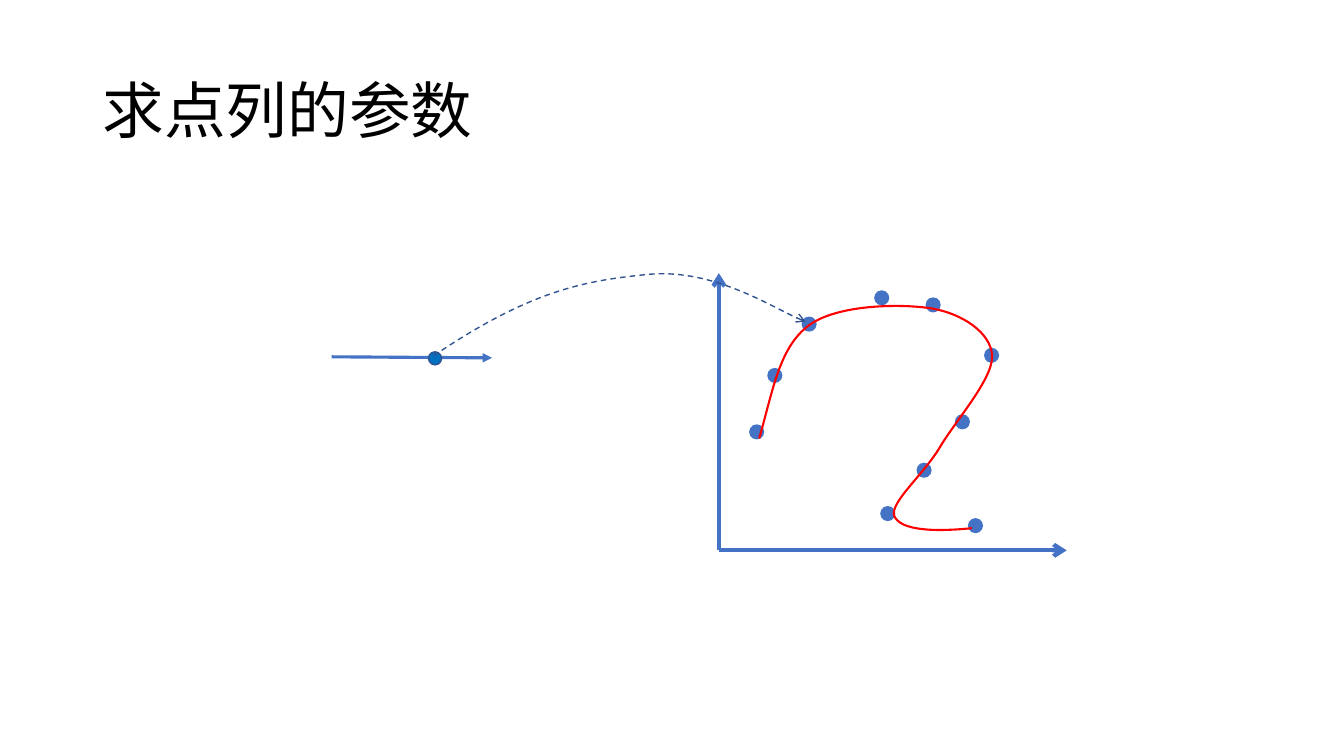
from pptx import Presentation
from pptx.dml.color import RGBColor
from pptx.enum.dml import MSO_LINE as Dash
from pptx.enum.shapes import MSO_CONNECTOR as Conn, MSO_SHAPE as Shape
from pptx.enum.text import MSO_ANCHOR as Anchor
from pptx.oxml.ns import qn
from pptx.util import Inches, Pt
from lxml.etree import SubElement

# Content, in inches
TITLE = "求点列的参数"
COLORS = {"blue": "4472C4", "red": "FF0000", "navy": "325491",
          "teal": "0070C0", "black": "000000"}
SIZE = (13.33, 7.5)
ORIGIN = (7.13, 5.46)
AXES = [(7.13, 2.71), (10.58, 5.46)]
DOT = 0.15
DOTS = [  # left and top
    (7.43, 4.21), (7.95, 3.14), (8.67, 2.88), (9.18, 2.95), (9.76, 3.45),
    (9.47, 4.11), (7.61, 3.65), (9.09, 4.59), (8.73, 5.02), (9.6, 5.14),
]
PARAM = [(3.29, 3.54), (4.88, 3.55)]
MARK = (4.25, 3.49)
# Cubic curves: a start, then two handles and an end per piece
FIT = [
    (7.53, 4.35), (7.67, 3.86), (7.73, 3.45), (8.02, 3.23),
    (8.3, 3.02), (8.93, 3.01), (9.24, 3.06),
    (9.54, 3.11), (9.83, 3.3), (9.84, 3.53),
    (9.85, 3.76), (9.48, 4.17), (9.32, 4.44),
    (9.16, 4.71), (8.82, 4.99), (8.87, 5.12),
    (8.93, 5.26), (9.25, 5.28), (9.64, 5.24),
]
MAP = [(4.3, 3.53), (5.29, 2.86), (5.84, 2.78), (6.45, 2.72),
       (7.07, 2.67), (7.76, 3.11), (7.99, 3.19)]

deck = Presentation()
deck.slide_width, deck.slide_height = map(Inches, SIZE)
slide = deck.slides.add_slide(deck.slide_layouts[6])
shapes = slide.shapes


def color(name):
    return RGBColor.from_string(COLORS[name])


def stroke(item, name, width, tip=None, dash=None):
    line = item.line
    line.color.rgb = color(name)
    line.width = Pt(width)
    if dash:
        line.dash_style = dash
    if tip:
        SubElement(line._get_or_add_ln(), qn("a:tailEnd"), type=tip)


def arrow(start, end, width, tip):
    item = shapes.add_connector(Conn.STRAIGHT, *map(Inches, start + end))
    stroke(item, "blue", width, tip)
    SubElement(item._element.spPr, qn("a:effectLst"))


def dot(corner, size, fill):
    item = shapes.add_shape(Shape.OVAL, *map(Inches, corner + (size, size)))
    item.shadow.inherit = False
    item.fill.solid()
    item.fill.fore_color.rgb = color(fill)
    item.line.fill.background()
    return item


def curve(knots):
    pen = shapes.build_freeform(*map(Inches, knots[0]))
    ends = [tuple(map(Inches, knot)) for knot in knots[3::3]]
    pen.add_line_segments(ends, close=False)
    item = pen.convert_to_shape()
    item.shadow.inherit = False
    item.fill.background()
    # Turn each straight piece into a cubic one
    for i, piece in enumerate(list(item._element.iter(qn("a:lnTo")))):
        trail = piece.getparent()
        trail.remove(piece)
        bend = SubElement(trail, qn("a:cubicBezTo"))
        for x, y in knots[3 * i + 1:3 * i + 4]:
            SubElement(bend, qn("a:pt"), x=str(Inches(x) - item.left),
                       y=str(Inches(y) - item.top))
    return item


# Title
box = shapes.add_textbox(*map(Inches, (0.92, 0.4, 11.5, 1.45)))
frame = box.text_frame
frame.word_wrap = True
frame.vertical_anchor = Anchor.MIDDLE
para = frame.paragraphs[0]
para.line_spacing = 0.9
run = para.add_run()
run.text = TITLE
run.font.name = "Calibri"
run.font.size = Pt(44)
run.font.color.rgb = color("black")

# Plane with its points and the fitted curve
for end in AXES:
    arrow(ORIGIN, end, 3, "arrow")
for corner in DOTS:
    dot(corner, DOT, "blue")
stroke(curve(FIT), "red", 1.5)

# Parameter line, mapped onto the curve
arrow(*PARAM, 2.25, "triangle")
stroke(dot(MARK, 0.13, "teal"), "navy", 1)
stroke(curve(MAP), "navy", 1, "arrow", Dash.DASH)

deck.save("out.pptx")
